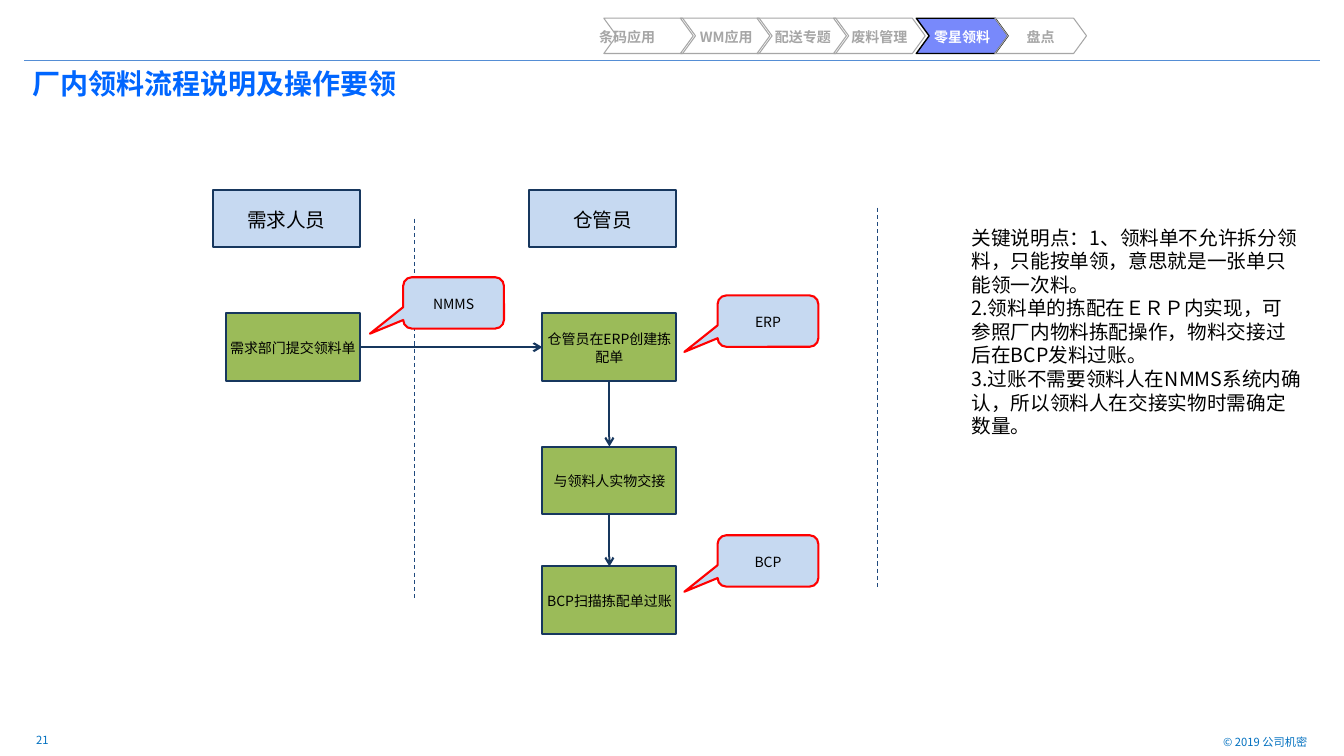
from lxml.etree import SubElement
from pptx import Presentation
from pptx.dml.color import RGBColor
from pptx.enum.dml import MSO_LINE
from pptx.enum.shapes import MSO_CONNECTOR, MSO_SHAPE
from pptx.enum.text import MSO_ANCHOR, MSO_AUTO_SIZE, PP_ALIGN
from pptx.oxml.ns import qn
from pptx.util import Pt

FONT = "Noto Sans CJK SC"
BLACK = RGBColor(0x00, 0x00, 0x00)
WHITE = RGBColor(0xFF, 0xFF, 0xFF)
GRAY = RGBColor(0xA6, 0xA6, 0xA6)
NAVY = RGBColor(0x17, 0x37, 0x5E)
DARK = RGBColor(0x1F, 0x49, 0x7D)
PALE = RGBColor(0xC6, 0xD9, 0xF1)
GREEN = RGBColor(0x9B, 0xBB, 0x59)
RED = RGBColor(0xFF, 0x00, 0x00)
VIOLET = RGBColor(0x78, 0x89, 0xFB)
BLUE = RGBColor(0x00, 0x66, 0xFF)
SKY = RGBColor(0x55, 0x8E, 0xD5)
FOOT = RGBColor(0x00, 0x70, 0xC0)

TABS = ["条码应用\t", "WM应用", "配送专题", "废料管理", "零星领料", "盘点"]
TAB_X = [431.3, 486, 540.7, 595.4, 654.5, 710.6]
ACTIVE = 4
NOTES = [
    "关键说明点：1、领料单不允许拆分领料，只能按单领，意思就是一张单只能领一次料。",
    "2.领料单的拣配在ＥＲＰ内实现，可参照厂内物料拣配操作，物料交接过后在BCP发料过账。",
    "3.过账不需要领料人在NMMS系统内确认，所以领料人在交接实物时需确定数量。",
]
HEADS = [("需求人员", 152), ("仓管员", 378)]
STEPS = [
    ("需求部门提交领料单", 161.3, 223.9),
    ("仓管员在ERP创建拣配单", 387.4, 223.9),
    ("与领料人实物交接", 387.4, 319),
    ("BCP扫描拣配单过账", 387.4, 404.6),
]
CALLS = [("NMMS", 288, 198), ("ERP", 512.6, 211), ("BCP", 512.6, 382.3)]
TOP, LEFT, BOTTOM, RIGHT = range(4)


def write(frame, lines, size, color, align=PP_ALIGN.LEFT, space=1.0, bold=False):
    """Fill a text frame with evenly styled paragraphs."""
    frame.text = "\n".join(lines)
    for para in frame.paragraphs:
        para.alignment = align
        para.line_spacing = space
        font = para.font
        font.size, font.bold = Pt(size), bold
        font.color.rgb = color
        font.name = FONT
        props = para._p.pPr.find(qn("a:defRPr"))
        SubElement(props, qn("a:ea")).set("typeface", FONT)


def pad(frame, left, top, right, bottom):
    """Set the four insets of a text frame."""
    frame.margin_left, frame.margin_top = Pt(left), Pt(top)
    frame.margin_right, frame.margin_bottom = Pt(right), Pt(bottom)


def add_text(slide, box, lines, size, color, align=PP_ALIGN.LEFT, anchor=MSO_ANCHOR.TOP):
    """Add a wrapping text box."""
    frame = slide.shapes.add_textbox(*map(Pt, box)).text_frame
    frame.word_wrap = True
    frame.vertical_anchor = anchor
    write(frame, lines, size, color, align)


def add_form(slide, kind, box, fill, edge, width=1.5, adjust=()):
    """Add a flat preset shape with an outline."""
    shape = slide.shapes.add_shape(kind, *map(Pt, box))
    shape.shadow.inherit = False
    for i, value in enumerate(adjust):
        shape.adjustments[i] = value
    if fill is None:
        shape.fill.background()
    else:
        shape.fill.solid()
        shape.fill.fore_color.rgb = fill
    shape.line.color.rgb = edge
    shape.line.width = Pt(width)
    shape.text_frame.vertical_anchor = MSO_ANCHOR.MIDDLE
    return shape


def add_box(slide, kind, box, text, size, fill, edge, adjust=()):
    """Add a labelled box of the flow."""
    shape = add_form(slide, kind, box, fill, edge, adjust=adjust)
    frame = shape.text_frame
    frame.word_wrap = True
    pad(frame, 2.9, 2.9, 2.9, 2.9)
    write(frame, [text], size, BLACK, PP_ALIGN.CENTER, 1.1)
    return shape


def add_tab(slide, text, left, active):
    """Add one chevron of the chapter bar."""
    fill, edge, width, color = (VIOLET, BLACK, 1, WHITE) if active else (None, GRAY, 0.75, GRAY)
    box = (left, 13, 65.5, 25.2)
    frame = add_form(slide, MSO_SHAPE.CHEVRON, box, fill, edge, width, [0.365]).text_frame
    frame.word_wrap = False
    pad(frame, 7.2, 5.8, 7.2, 2.9)
    write(frame, [text], 10, color, PP_ALIGN.CENTER, 0.9, True)


def add_line(slide, ends, color, width=0.75, dash=None):
    """Add a straight line without shadow."""
    line = slide.shapes.add_connector(MSO_CONNECTOR.STRAIGHT, *map(Pt, ends))
    line.line.color.rgb = color
    line.line.width = Pt(width)
    if dash:
        line.line.dash_style = dash
    SubElement(line._element.spPr, qn("a:effectLst"))
    return line


def add_link(slide, start, side, end, face):
    """Join two boxes with an arrow."""
    line = add_line(slide, (0, 0, 0, 0), NAVY, 1.5)
    line.begin_connect(start, side)
    line.end_connect(end, face)
    SubElement(line.line._get_or_add_ln(), qn("a:tailEnd")).set("type", "arrow")


def set_title(slide, text):
    """Place and format the title."""
    title = slide.shapes.title
    title.left, title.top, title.width, title.height = map(Pt, (17.3, 46.8, 925.9, 33.8))
    frame = title.text_frame
    frame.auto_size = MSO_AUTO_SIZE.NONE
    frame.vertical_anchor = MSO_ANCHOR.TOP
    pad(frame, 5.8, 3.6, 5.8, 3.6)
    write(frame, [text], 20, BLUE, space=0.9, bold=True)


def main():
    """Build the slide and save it."""
    deck = Presentation()
    deck.slide_width, deck.slide_height = Pt(960), Pt(540)
    slide = deck.slides.add_slide(deck.slide_layouts[5])

    add_line(slide, (17.3, 43.2, 943.2, 43.2), SKY)
    add_text(slide, (797, 522, 144, 14.4), ["© 2019 公司机密"], 8, FOOT, PP_ALIGN.RIGHT)
    add_text(slide, (18.7, 519.8, 67.7, 17.3), ["21"], 8, FOOT, anchor=MSO_ANCHOR.MIDDLE)
    set_title(slide, "厂内领料流程说明及操作要领")

    for text, left in HEADS:
        add_box(slide, MSO_SHAPE.RECTANGLE, (left, 136, 105.1, 40.3), text, 14, PALE, NAVY)
    for left, top in ((295.9, 156.2), (627.1, 148.3)):
        add_line(slide, (left, top, left, top + 272), DARK, dash=MSO_LINE.DASH)

    need, pick, hand, post = [
        add_box(slide, MSO_SHAPE.RECTANGLE, (left, top, 95.8, 48.2), text, 10, GREEN, NAVY)
        for text, left, top in STEPS
    ]
    add_link(slide, need, RIGHT, pick, LEFT)
    add_link(slide, pick, BOTTOM, hand, TOP)
    add_link(slide, hand, BOTTOM, post, TOP)

    add_text(slide, (686.9, 157.7, 249.8, 159.8), NOTES, 14, BLACK)
    for text, left, top in CALLS:
        add_box(slide, MSO_SHAPE.ROUNDED_RECTANGULAR_CALLOUT, (left, top, 72, 36.7),
                text, 10, PALE, RED, (-0.83, 0.6, 0.17))
    for i, (text, left) in enumerate(zip(TABS, TAB_X)):
        add_tab(slide, text, left, i == ACTIVE)

    deck.save("out.pptx")


if __name__ == "__main__":
    main()
